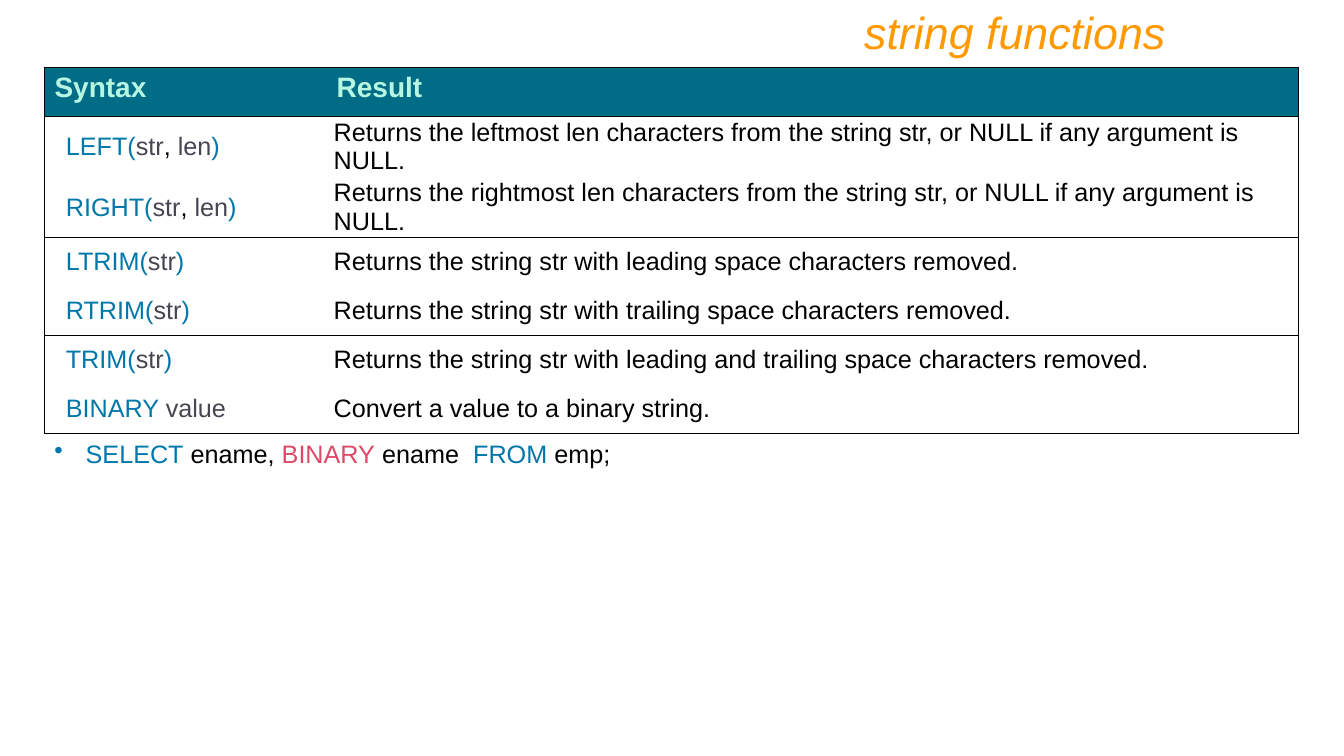
from lxml.etree import SubElement
from pptx import Presentation
from pptx.dml.color import RGBColor
from pptx.enum.text import MSO_ANCHOR, PP_ALIGN
from pptx.oxml import parse_xml
from pptx.oxml.ns import nsdecls, qn
from pptx.util import Cm, Pt

HUES = {
    "black": "000000",
    "teal": "006C86",
    "mint": "B7F7E2",
    "blue": "0077AA",
    "gray": "464653",
    "pink": "DD4A68",
    "gold": "FF9900",
}


def call(name, *args):
    runs = [(name + "(", "blue"), (args[0], "gray")]
    for arg in args[1:]:
        runs += [(",", "black"), (" " + arg, "gray")]
    return runs + [(")", "blue")]


ROWS = [
    (call("LEFT", "str", "len"),
     "Returns the leftmost len characters from the string str, or NULL if any argument is NULL."),
    (call("RIGHT", "str", "len"),
     "Returns the rightmost len characters from the string str, or NULL if any argument is NULL."),
    (call("LTRIM", "str"),
     "Returns the string str with leading space characters removed."),
    (call("RTRIM", "str"),
     "Returns the string str with trailing space characters removed."),
    (call("TRIM", "str"),
     "Returns the string str with leading and trailing space characters removed."),
    ([("BINARY ", "blue"), ("value", "gray")],
     "Convert a value to a binary string."),
]
QUERY = [("SELECT", "blue"), (" ename, ", "black"), ("BINARY", "pink"),
         (" ename  ", "black"), ("FROM", "blue"), (" emp;", "black")]


def shade(name):
    return RGBColor.from_string(HUES[name])


def write(frame, runs, size, bold=False, slant=False):
    para = frame.paragraphs[0]
    para.font.name = "Arial"
    para.font.size = Pt(size)
    para.font.bold = bold
    para.font.italic = slant
    for text, hue in runs:
        run = para.add_run()
        run.text = text
        run.font.color.rgb = shade(hue)
    return para


def add_box(slide, left, top, width, height):
    frame = slide.shapes.add_textbox(Cm(left), Cm(top), Cm(width), Cm(height)).text_frame
    frame.word_wrap = True
    return frame


def add_dot(para, hue, indent):
    props = para._p.get_or_add_pPr()
    props.set("marL", str(Cm(indent)))
    props.set("indent", str(-Cm(indent)))
    tint = SubElement(props, qn("a:buClr"))
    SubElement(tint, qn("a:srgbClr")).set("val", HUES[hue])
    SubElement(props, qn("a:buChar")).set("char", "•")


def set_lines(cell, sides):
    props = cell._tc.get_or_add_tcPr()
    for place, side in enumerate("LRTB"):
        ink = "<a:noFill/>"
        if side in sides:
            ink = f'<a:solidFill><a:srgbClr val="{HUES["black"]}"/></a:solidFill>'
        line = f'<a:ln{side} {nsdecls("a")} w="{Pt(0.75)}">{ink}</a:ln{side}>'
        props.insert(place, parse_xml(line))


def fill_head(cell, text):
    cell.fill.solid()
    cell.fill.fore_color.rgb = shade("teal")
    write(cell.text_frame, [(text, "mint")], 20, bold=True)


def fill_cell(cell, runs, left):
    cell.fill.background()
    cell.vertical_anchor = MSO_ANCHOR.MIDDLE
    cell.margin_left, cell.margin_right = Cm(left), Cm(0.18)
    cell.margin_top = cell.margin_bottom = 0
    write(cell.text_frame, runs, 18)


def add_grid(slide):
    tall, short = 1.53, 1.23
    highs = [short, tall, tall] + [short] * 4
    grid = slide.shapes.add_table(len(highs), 2, Cm(1.12), Cm(1.7),
                                  Cm(31.6), Cm(sum(highs))).table
    grid.first_row = grid.horz_banding = False
    for col, width in zip(grid.columns, (7.11, 24.49)):
        col.width = Cm(width)
    for row, high in zip(grid.rows, highs):
        row.height = Cm(high)
    for col, text in enumerate(("Syntax", "Result")):
        fill_head(grid.cell(0, col), text)
    for row, (code, note) in enumerate(ROWS, 1):
        fill_cell(grid.cell(row, 0), code, 0.54)
        fill_cell(grid.cell(row, 1), [(note, "black")], 0.18)
    for row in range(len(highs)):
        ends = ("T" if row == 0 or row % 2 else "") + ("" if row % 2 else "B")
        set_lines(grid.cell(row, 0), "L" + ends)
        set_lines(grid.cell(row, 1), "R" + ends)


def main():
    deck = Presentation()
    deck.slide_width, deck.slide_height = Cm(33.87), Cm(19.05)
    slide = deck.slides.add_slide(deck.slide_layouts[6])
    add_grid(slide)
    title = add_box(slide, 4.23, 0, 25.4, 1.62)
    write(title, [("string functions", "gold")], 32, slant=True).alignment = PP_ALIGN.RIGHT
    query = add_box(slide, 1.12, 10.93, 31.6, 1.03)
    add_dot(query.paragraphs[0], "blue", 0.79)
    write(query, QUERY, 18)
    deck.save("out.pptx")


if __name__ == "__main__":
    main()
